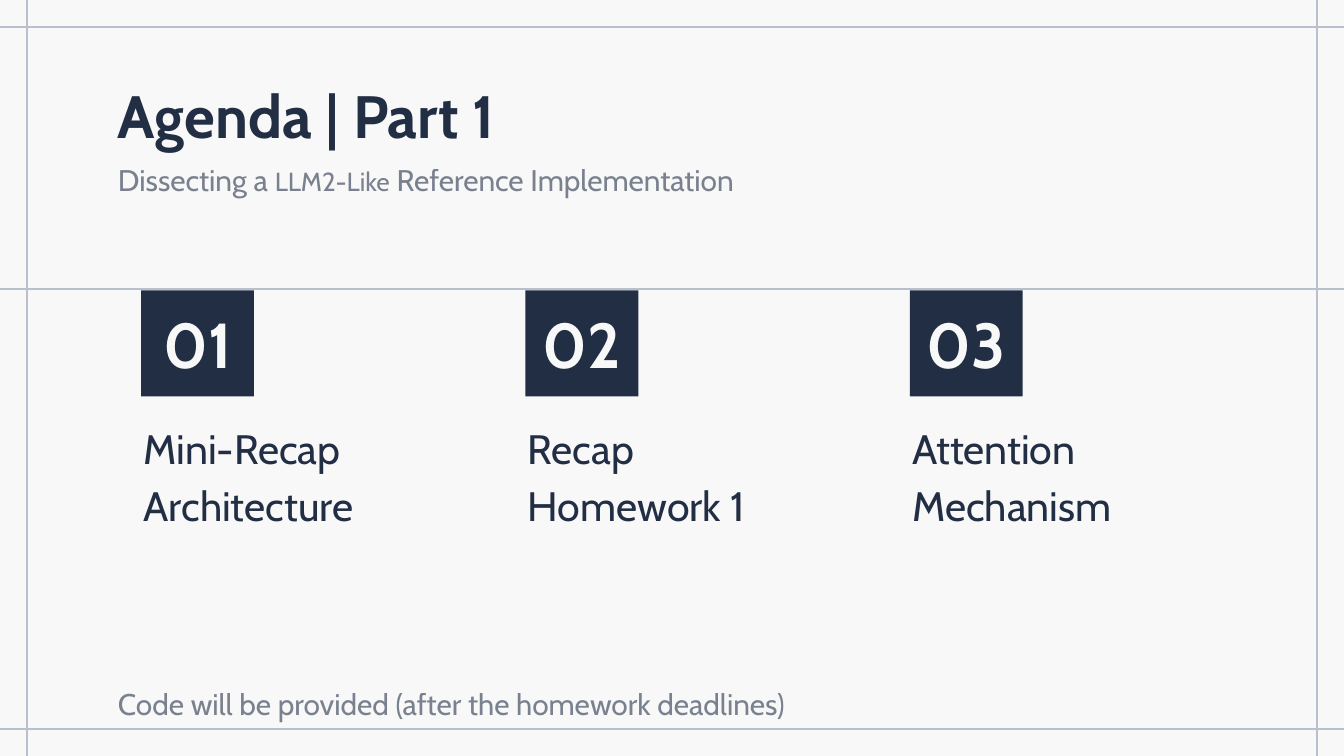
from lxml import etree
from pptx import Presentation
from pptx import util as u
from pptx.dml.color import RGBColor
from pptx.enum import shapes, text
from pptx.oxml.ns import qn

NAVY = RGBColor(0x22, 0x2E, 0x44)
PAPER = RGBColor(0xF8, 0xF8, 0xF8)
RULE = RGBColor(0xB8, 0xC0, 0xCE)
FONT = "Cabin"
MUTED_ALPHA = 58  # percent

TITLE = "Agenda | Part 1"
SUBTITLE = [("Dissecting a ", 16), ("LLM2-Like", 14), (" Reference Implementation", 16)]
FOOTNOTE = [("Code will be provided (after the homework deadlines)", 16)]
TOPICS = ["Mini-Recap Architecture", "Recap Homework 1", "Attention Mechanism"]

WIDTH = 10
HEIGHT = WIDTH * 9 / 16
MARGIN, BLEED = 0.2, 0.01
BADGE_LEFT, BADGE_TOP, TOPIC_STEP = 1.05, 2.16, 2.86
RULES = [
    (-BLEED, MARGIN, WIDTH + BLEED, MARGIN),
    (-BLEED, HEIGHT - MARGIN, WIDTH + BLEED, HEIGHT - MARGIN),
    (MARGIN, -BLEED, MARGIN, HEIGHT + BLEED),
    (WIDTH - MARGIN, -BLEED, WIDTH - MARGIN, HEIGHT + BLEED),
    (-0.05, 2.15, 10.03, 2.15),
]

prs = Presentation()
prs.slide_width, prs.slide_height = u.Inches(WIDTH), u.Inches(HEIGHT)
slide = prs.slides.add_slide(prs.slide_layouts[6])
slide.background.fill.solid()
slide.background.fill.fore_color.rgb = PAPER


def add_rule(x1, y1, x2, y2):
    rule = slide.shapes.add_connector(
        shapes.MSO_CONNECTOR.STRAIGHT, *map(u.Inches, (x1, y1, x2, y2)))
    rule.line.color.rgb = RULE
    rule.line.width = u.Pt(0.75)
    etree.SubElement(rule._element.spPr, qn("a:effectLst"))


def write(shape, runs, anchor, color=NAVY, bold=False, spacing=1.0,
          align=text.PP_ALIGN.LEFT):
    """Fill the shape with one paragraph of (words, size) runs."""
    frame = shape.text_frame
    frame.word_wrap = True
    frame.vertical_anchor = anchor
    frame.margin_left = frame.margin_right = u.Inches(0.1)
    frame.margin_top = frame.margin_bottom = u.Inches(0.1)
    paragraph = frame.paragraphs[0]
    paragraph.alignment = align
    paragraph.line_spacing = spacing
    for words, size in runs:
        run = paragraph.add_run()
        run.text = words
        run.font.name = FONT
        run.font.size = u.Pt(size)
        run.font.bold = bold
        run.font.color.rgb = color
    return paragraph


def add_box(left, top, width, height):
    return slide.shapes.add_textbox(*map(u.Inches, (left, top, width, height)))


def add_muted_line(top, runs):
    """Add a see-through line of text with a hanging indent."""
    paragraph = write(add_box(0.63, top, 6.73, 0.46), runs,
                      text.MSO_ANCHOR.BOTTOM, spacing=1.15)
    properties = paragraph._p.get_or_add_pPr()
    properties.set("marL", str(u.Inches(0.5)))
    properties.set("indent", str(u.Inches(-0.35)))
    for color in paragraph._p.iter(qn("a:srgbClr")):
        etree.SubElement(color, qn("a:alpha"), val=str(MUTED_ALPHA * 1000))


def add_topic(index, topic):
    left = BADGE_LEFT + index * TOPIC_STEP
    badge = slide.shapes.add_shape(
        shapes.MSO_SHAPE.RECTANGLE, *map(u.Inches, (left, BADGE_TOP, 0.84, 0.79)))
    badge.shadow.inherit = False
    badge.fill.solid()
    badge.fill.fore_color.rgb = NAVY
    badge.line.fill.background()
    write(badge, [(f"{index + 1:02}", 34)], text.MSO_ANCHOR.MIDDLE,
          color=PAPER, bold=True, align=text.PP_ALIGN.CENTER)
    write(add_box(left - 0.08, 3.11, 2.35, 0.93), [(topic, 22)],
          text.MSO_ANCHOR.BOTTOM, spacing=1.15)


for ends in RULES:
    add_rule(*ends)
write(add_box(0.78, 0.49, 8.44, 0.63), [(TITLE, 32)], text.MSO_ANCHOR.TOP, bold=True)
add_muted_line(1.11, SUBTITLE)
for number, name in enumerate(TOPICS):
    add_topic(number, name)
add_muted_line(5.01, FOOTNOTE)

prs.save("out.pptx")
